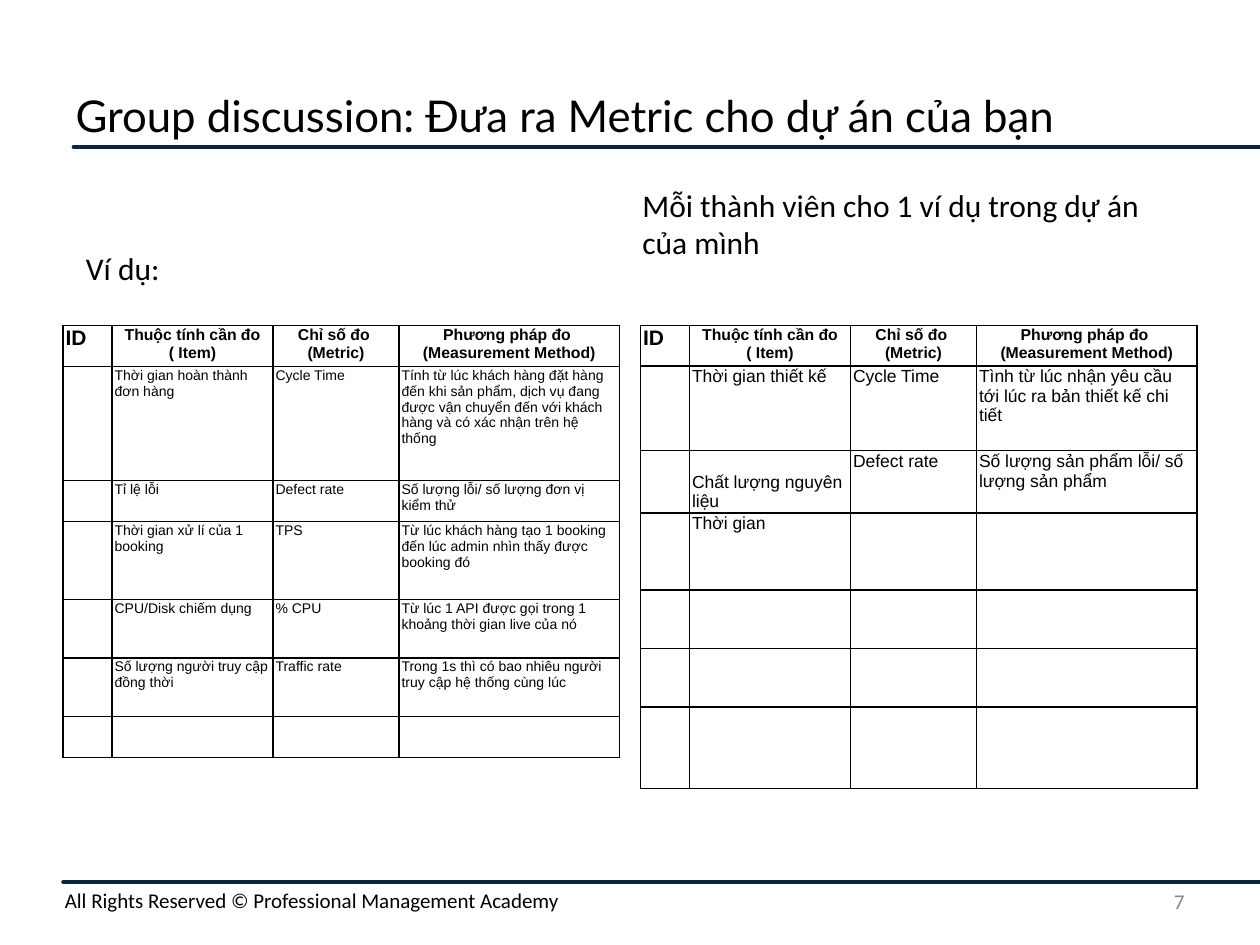
from lxml import etree
from pptx import Presentation
from pptx.dml.color import RGBColor
from pptx.enum import shapes, text
from pptx.oxml.ns import qn
from pptx.util import Pt

BLACK = RGBColor(0x00, 0x00, 0x00)
NAVY = RGBColor(0x0F, 0x24, 0x3E)
GRAY = RGBColor(0x88, 0x88, 0x88)

COLUMN_WIDTHS = [28, 92, 72, 126]
HEADER = ["ID", "Thuộc tính cần đo\v( Item)", "Chỉ số đo \v(Metric)",
          "Phương pháp đo \v(Measurement Method)"]
EMPTY_ROW = ["", "", "", ""]

EXAMPLE_ROWS = [
    ["", "Thời gian hoàn thành đơn hàng", "Cycle Time",
     "Tính từ lúc khách hàng đặt hàng đến khi sản phẩm, dịch vụ đang được "
     "vận chuyển đến với khách hàng và có xác nhận trên hệ thống"],
    ["", "Tỉ lệ lỗi", "Defect rate", "Số lượng lỗi/ số lượng đơn vị kiểm thử"],
    ["", "Thời gian xử lí của 1 booking", "TPS",
     "Từ lúc khách hàng tạo 1 booking đến lúc admin nhìn thấy được booking đó"],
    ["", "CPU/Disk chiếm dụng", "% CPU",
     "Từ lúc 1 API được gọi trong 1 khoảng thời gian live của nó"],
    ["", "Số lượng người truy cập đồng thời", "Traffic rate",
     "Trong 1s thì có bao nhiêu người truy cập hệ thống cùng lúc"],
    EMPTY_ROW,
]
EXAMPLE_HEIGHTS = [23.5, 65, 23.5, 44.5, 33.5, 33.5, 23.5]

MEMBER_ROWS = [
    ["", "Thời gian thiết kế", "Cycle Time",
     "Tình từ lúc nhận yêu cầu tới lúc ra bản thiết kế chi tiết"],
    ["", "Chất lượng nguyên liệu", "Defect rate",
     "Số lượng sản phẩm lỗi/ số lượng sản phẩm"],
    ["", "Thời gian", "", ""],
    EMPTY_ROW, EMPTY_ROW, EMPTY_ROW,
]
MEMBER_HEIGHTS = [22.5, 48.5, 35.5, 44, 33.5, 33.5, 46.5]


def style_font(font, name, size, color=BLACK, bold=False):
    font.name = name
    font.size = Pt(size)
    font.bold = bold
    font.color.rgb = color


def add_title(slide, wording):
    title = slide.shapes.title
    title.left, title.top, title.width, title.height = Pt(36), Pt(36), Pt(648), Pt(60)
    frame = title.text_frame
    frame.text = wording
    frame.auto_size = text.MSO_AUTO_SIZE.NONE
    frame.vertical_anchor = text.MSO_ANCHOR.MIDDLE
    frame.paragraphs[0].alignment = text.PP_ALIGN.LEFT
    style_font(frame.paragraphs[0].runs[0].font, "Lato", 25)


def add_label(slide, wording, left, top, width, height, size, color=BLACK,
              align=text.PP_ALIGN.LEFT, anchor=text.MSO_ANCHOR.TOP):
    frame = slide.shapes.add_textbox(Pt(left), Pt(top), Pt(width), Pt(height)).text_frame
    frame.word_wrap = True
    frame.vertical_anchor = anchor
    frame.text = wording
    frame.paragraphs[0].alignment = align
    style_font(frame.paragraphs[0].runs[0].font, "Calibri", size, color)


def add_rule(slide, left, top):
    """Draw a horizontal line from left to the slide's right edge."""
    rule = slide.shapes.add_connector(shapes.MSO_CONNECTOR.STRAIGHT,
                                      Pt(left), Pt(top), Pt(720), Pt(top))
    rule.line.color.rgb = NAVY
    rule.line.width = Pt(2)
    rule.line._get_or_add_ln().set("cap", "rnd")
    etree.SubElement(rule._element.spPr, qn("a:effectLst"))


def add_borders(cell):
    properties = cell._tc.get_or_add_tcPr()
    for side in ("a:lnL", "a:lnR", "a:lnT", "a:lnB"):
        border = etree.SubElement(properties, qn(side), w=str(Pt(1)))
        fill = etree.SubElement(border, qn("a:solidFill"))
        etree.SubElement(fill, qn("a:srgbClr"), val=str(BLACK))


def fill_cell(cell, wording, size, bold, align):
    cell.margin_left = cell.margin_right = Pt(1.5)
    cell.margin_top = cell.margin_bottom = Pt(0.7)
    add_borders(cell)
    cell.fill.background()
    cell.text = wording
    paragraph = cell.text_frame.paragraphs[0]
    paragraph.alignment = align
    style_font(paragraph.font, "Arial", size, bold=bold)
    for run in paragraph.runs:
        style_font(run.font, "Arial", size, bold=bold)


def add_metric_table(slide, left, rows, heights, body_size):
    table = slide.shapes.add_table(len(heights), len(COLUMN_WIDTHS), Pt(left), Pt(186),
                                   Pt(sum(COLUMN_WIDTHS)), Pt(sum(heights))).table
    for column, width in zip(table.columns, COLUMN_WIDTHS):
        column.width = Pt(width)
    for row, height in zip(table.rows, heights):
        row.height = Pt(height)
    for i, wording in enumerate(HEADER):
        size, align = (9, text.PP_ALIGN.CENTER) if i else (12, text.PP_ALIGN.LEFT)
        fill_cell(table.cell(0, i), wording, size, True, align)
    for r, row in enumerate(rows, start=1):
        for c, wording in enumerate(row):
            fill_cell(table.cell(r, c), wording, body_size, False, text.PP_ALIGN.LEFT)
    return table


def main():
    deck = Presentation()
    deck.slide_width, deck.slide_height = Pt(720), Pt(540)
    slide = deck.slides.add_slide(deck.slide_layouts[5])

    add_rule(slide, 42, 84)
    add_label(slide, "7", 516, 500.5, 168, 28.5, 12, GRAY,
              text.PP_ALIGN.RIGHT, text.MSO_ANCHOR.MIDDLE)
    add_rule(slide, 36, 504)
    add_label(slide, "All Rights Reserved © Professional Management Academy",
              30, 503.5, 690, 21.5, 12)

    add_title(slide, "Group discussion: Đưa ra Metric cho dự án của bạn")
    add_metric_table(slide, 36, EXAMPLE_ROWS, EXAMPLE_HEIGHTS, 8)
    member_table = add_metric_table(slide, 366, MEMBER_ROWS, MEMBER_HEIGHTS, 10)
    member_table.cell(2, 1).vertical_anchor = text.MSO_ANCHOR.BOTTOM
    add_label(slide, "Ví dụ:", 42, 138.5, 67, 29, 18)
    add_label(slide, "Mỗi thành viên cho 1 ví dụ trong dự án của mình",
              360, 102.5, 324, 51, 18)
    deck.save("out.pptx")


if __name__ == "__main__":
    main()
